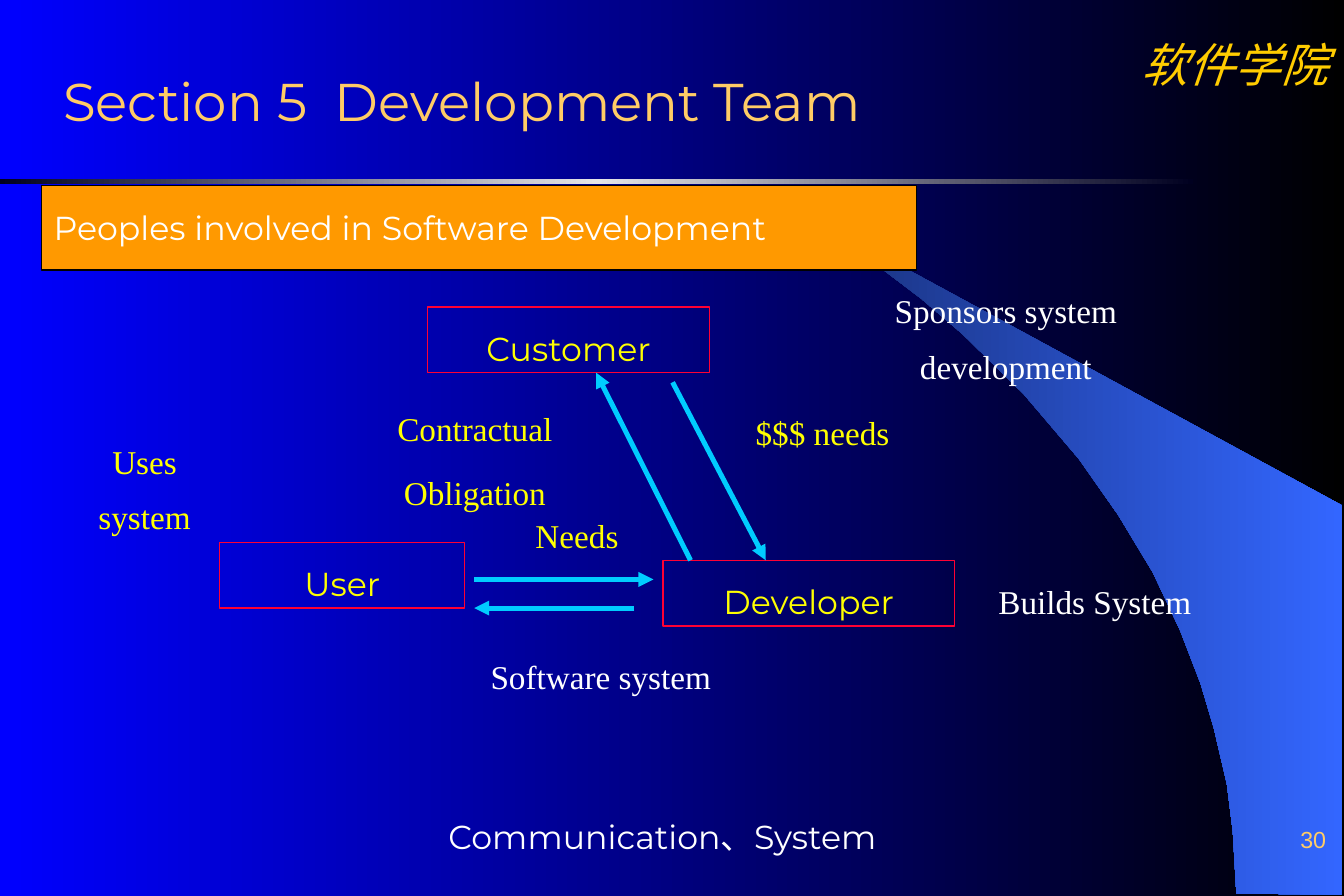
from copy import deepcopy
from dataclasses import dataclass

from lxml import etree
from pptx import Presentation
from pptx.dml.color import RGBColor
from pptx.enum.shapes import MSO_CONNECTOR, MSO_SHAPE
from pptx.enum.text import MSO_ANCHOR, PP_ALIGN
from pptx.oxml.ns import qn
from pptx.util import Pt

LEFT, CENTER, RIGHT = PP_ALIGN.LEFT, PP_ALIGN.CENTER, PP_ALIGN.RIGHT
TOP, MIDDLE, BOTTOM = MSO_ANCHOR.TOP, MSO_ANCHOR.MIDDLE, MSO_ANCHOR.BOTTOM
RECTANGLE = MSO_SHAPE.RECTANGLE
STRAIGHT = MSO_CONNECTOR.STRAIGHT
PX = 9144


@dataclass(frozen=True)
class Theme:
    white: str = "FFFFFF"
    yellow: str = "FFFF00"
    gold: str = "FFCC66"
    school: str = "FFCC00"
    orange: str = "FF9900"
    red: str = "FF0033"
    cyan: str = "00CCFF"
    black: str = "000000"
    backdrop: tuple = ("0000FF", "000000")
    swoosh: tuple = ("182F76", "3366FF")
    rule: tuple = ("000020", "E5E5E8", "000020")
    sans: str = "Montserrat"
    serif: str = "Times New Roman"
    number_font: str = "Arial"
    title_size: int = 32
    school_size: int = 28
    body_size: int = 20
    number_size: int = 14
    outline: float = 0.75
    arrow: int = 3
    leading: float = 1.4
    gap: int = 5


def set_format(target, values):
    for name, value in values.items():
        setattr(target, name, value)


class TeamSlide:
    def __init__(self, deck, theme):
        self.theme = theme
        self.slide = deck.slides.add_slide(deck.slide_layouts[6])
        self.shapes = self.slide.shapes
        self.gradient(self.slide.background.fill, theme.backdrop)

    def gradient(self, fill, colors):
        fill.gradient()
        fill.gradient_angle = 0
        first = fill.gradient_stops[0]._gs
        for _ in colors[2:]:
            first.addnext(deepcopy(first))
        for index, (stop, color) in enumerate(zip(fill.gradient_stops, colors)):
            stop.position = index / (len(colors) - 1)
            stop.color.rgb = RGBColor.from_string(color)

    def outline(self, line, color, width):
        line.color.rgb = RGBColor.from_string(color)
        line.width = Pt(width)

    def set_text(self, shape, text, color, font=None, size=None, align=CENTER,
                 anchor=MIDDLE, inset=(20, 5), leading=None, wrap=False, italic=False):
        theme = self.theme
        across, down = (value * PX for value in inset)
        frame = shape.text_frame
        set_format(frame, {
            "margin_left": across, "margin_right": across,
            "margin_top": down, "margin_bottom": down,
            "vertical_anchor": anchor, "word_wrap": wrap, "text": text,
        })
        for index, paragraph in enumerate(frame.paragraphs):
            set_format(paragraph, {
                "alignment": align,
                "line_spacing": leading or theme.leading,
                "space_before": Pt(theme.gap if index else 0),
            })
            set_format(paragraph.runs[0].font, {
                "name": font or theme.serif,
                "size": Pt(size or theme.body_size),
                "italic": italic,
            })
            paragraph.runs[0].font.color.rgb = RGBColor.from_string(color)

    def label(self, box, text, color, **style):
        shape = self.shapes.add_textbox(*(value * PX for value in box))
        self.set_text(shape, text, color, **style)

    def rectangle(self, box):
        shape = self.shapes.add_shape(RECTANGLE, *(value * PX for value in box))
        shape.shadow.inherit = False
        return shape

    def rule(self, box):
        shape = self.rectangle(box)
        self.gradient(shape.fill, self.theme.rule)
        shape.line.fill.background()

    def role(self, box, text):
        shape = self.rectangle(box)
        shape.fill.background()
        self.outline(shape.line, self.theme.red, self.theme.outline)
        self.set_text(shape, text, self.theme.yellow, font=self.theme.sans)

    def banner(self, box, text):
        theme = self.theme
        shape = self.rectangle(box)
        shape.fill.solid()
        shape.fill.fore_color.rgb = RGBColor.from_string(theme.orange)
        self.outline(shape.line, theme.black, theme.outline)
        self.set_text(shape, text, theme.white, font=theme.sans, align=LEFT,
                      anchor=TOP, inset=(10, 5), wrap=True)

    def swoosh(self, points):
        builder = self.shapes.build_freeform(*points[0], scale=PX)
        builder.add_line_segments(points[1:], close=True)
        shape = builder.convert_to_shape()
        shape.shadow.inherit = False
        self.gradient(shape.fill, self.theme.swoosh)
        shape.line.fill.background()

    def arrow(self, ends):
        connector = self.shapes.add_connector(STRAIGHT, *(value * PX for value in ends))
        self.outline(connector.line, self.theme.cyan, self.theme.arrow)
        tip = etree.SubElement(connector.line._get_or_add_ln(), qn("a:tailEnd"))
        tip.set("type", "triangle")
        etree.SubElement(connector._element.spPr, qn("a:effectLst"))


def main():
    deck = Presentation()
    set_format(deck, {"slide_width": 1125 * PX, "slide_height": 750 * PX})
    theme = Theme()
    team = TeamSlide(deck, theme)

    team.label((942, 25, 183, 57), "软件学院", theme.school, size=theme.school_size,
               anchor=TOP, inset=(10, 5), leading=1.0, wrap=True, italic=True)
    team.swoosh([
        (1035, 748), (1123, 749), (1123, 423), (663, 173), (702, 199), (734, 222),
        (771, 250), (806, 280), (857, 330), (903, 384), (936, 431), (965, 479),
        (988, 528), (1005, 572), (1016, 609), (1027, 656), (1032, 696),
    ])
    team.rule((0, 150, 999, 4))
    team.label((886, 672, 234, 42), "30", theme.gold, font=theme.number_font,
               size=theme.number_size, align=RIGHT, anchor=BOTTOM,
               inset=(10, 0), leading=1.0)
    team.label((43, 44, 1082, 79), "Section 5  Development Team", theme.gold,
               font=theme.sans, size=theme.title_size, align=LEFT,
               inset=(10, 5), leading=1.0, wrap=True)
    team.label((326, 666, 457, 55), "Communication、System", theme.white, font=theme.sans)

    for box, name in (
        ((358, 257, 236, 55), "Customer"),
        ((184, 454, 205, 55), "User"),
        ((555, 469, 244, 55), "Developer"),
    ):
        team.role(box, name)

    for ends in (
        (563, 320, 641, 469),
        (578, 469, 499, 312),
        (397, 485, 547, 485),
        (531, 509, 397, 509),
    ):
        team.arrow(ends)

    for box, text, color in (
        ((657, 241, 370, 71), "Sponsors system development", theme.white),
        ((814, 469, 205, 55), "Builds System", theme.white),
        ((373, 532, 260, 55), "Software system", theme.white),
        ((586, 328, 205, 55), "$$$ needs", theme.yellow),
        ((295, 351, 205, 55), "Contractual\nObligation", theme.yellow),
        ((424, 414, 118, 55), "Needs", theme.yellow),
        ((62, 375, 118, 55), "Uses system", theme.yellow),
    ):
        team.label(box, text, color)

    team.banner((35, 155, 732, 71), "Peoples involved in Software Development")
    deck.save("out.pptx")


if __name__ == "__main__":
    main()
